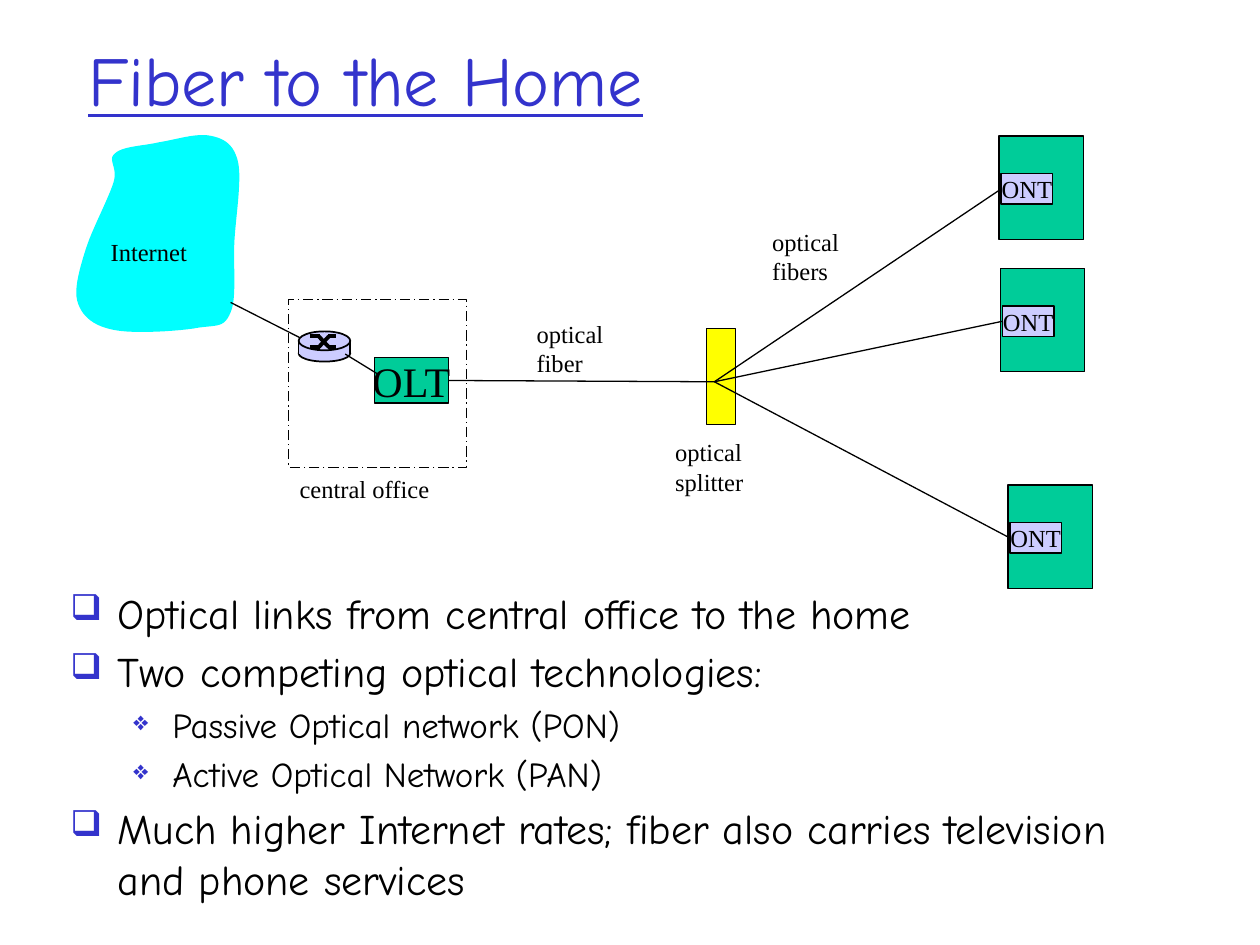
from dataclasses import dataclass

from lxml import etree
from pptx import Presentation
from pptx import util as u
from pptx.dml.color import RGBColor
from pptx.enum import dml, shapes, text
from pptx.oxml.ns import qn


@dataclass(frozen=True)
class Theme:
    heading_font: str = "Comic Neue"
    diagram_font: str = "Times New Roman"
    ink: RGBColor = RGBColor(0x00, 0x00, 0x00)
    accent: RGBColor = RGBColor(0x33, 0x33, 0xCC)
    green: RGBColor = RGBColor(0x00, 0xCC, 0x99)
    lilac: RGBColor = RGBColor(0xCC, 0xCC, 0xFF)
    yellow: RGBColor = RGBColor(0xFF, 0xFF, 0x00)
    cyan: RGBColor = RGBColor(0x00, 0xFF, 0xFF)
    title_size: int = 40
    bullet_sizes: tuple = (24, 20)
    label_size: int = 14
    olt_size: int = 24
    thin: float = 0.75
    outline: float = 1
    thick: float = 2.25


theme = Theme()
presentation = Presentation()
presentation.slide_width = u.Inches(10)
presentation.slide_height = u.Inches(7.5)
slide = presentation.slides.add_slide(presentation.slide_layouts[5])
cell = presentation.slide_width / 100  # square grid: 100 columns by 75 rows
RECTANGLE = shapes.MSO_SHAPE.RECTANGLE
OVAL = shapes.MSO_SHAPE.OVAL


def add_block(kind, area, fill=None, weight=None, label="", size=theme.label_size):
    """Add a preset shape; area is left, top, width, height in grid cells."""
    shape = slide.shapes.add_shape(kind, *[int(cell * n) for n in area])
    shape.shadow.inherit = False
    if fill is None:
        shape.fill.background()
    else:
        shape.fill.solid()
        shape.fill.fore_color.rgb = fill
    if weight is None:
        shape.line.fill.background()
    else:
        shape.line.color.rgb = theme.ink
        shape.line.width = u.Pt(weight)
    if label:
        frame = shape.text_frame
        frame.word_wrap = False
        frame.vertical_anchor = text.MSO_ANCHOR.MIDDLE
        paragraph = frame.paragraphs[0]
        paragraph.alignment = text.PP_ALIGN.CENTER
        run = paragraph.add_run()
        run.text = label
        run.font.name, run.font.size = theme.diagram_font, u.Pt(size)
        run.font.color.rgb = theme.ink
    return shape


def add_line(start, end, weight=theme.thin):
    """Add a straight line between two (column, row) points."""
    line = slide.shapes.add_connector(
        shapes.MSO_CONNECTOR.STRAIGHT, *[int(cell * n) for n in (*start, *end)])
    line.line.color.rgb = theme.ink
    line.line.width = u.Pt(weight)
    etree.SubElement(line._element.spPr, qn("a:effectLst"))
    return line


# Title
title = slide.shapes.title
title.left, title.top, title.width, title.height = [
    int(cell * n) for n in (6, 0, 85, 12.5)]
title.text_frame.auto_size = text.MSO_AUTO_SIZE.NONE
title.text_frame.vertical_anchor = text.MSO_ANCHOR.MIDDLE
paragraph = title.text_frame.paragraphs[0]
paragraph.alignment = text.PP_ALIGN.LEFT
run = paragraph.add_run()
run.text = "Fiber to the Home"
run.font.name, run.font.size = theme.heading_font, u.Pt(theme.title_size)
run.font.color.rgb = theme.accent
run.font.underline = True

# Internet cloud: Bezier curves, each from the previous end point
cloud_start = (18.9, 12.9)
cloud_curves = [
    ((18.6, 11.5), (17.8, 11.0), (16.8, 10.8)),
    ((15.7, 10.5), (13.9, 11.1), (12.6, 11.3)),
    ((11.3, 11.6), (9.7, 11.6), (9.1, 12.2)),
    ((8.5, 12.7), (9.4, 13.3), (9.0, 14.5)),
    ((8.6, 15.8), (7.3, 18.2), (6.8, 19.8)),
    ((6.3, 21.4), (5.8, 23.1), (6.2, 24.1)),
    ((6.6, 25.2), (7.5, 25.9), (9.1, 26.2)),
    ((10.6, 26.5), (14.2, 26.3), (15.8, 26.0)),
    ((17.3, 25.8), (17.8, 26.0), (18.3, 24.8)),
    ((18.8, 23.7), (18.5, 21.2), (18.6, 19.2)),
    ((18.7, 17.3), (19.2, 14.3), (18.9, 12.9)),
]
cloud_points = []
steps = 12
corner = cloud_start
for first, second, end in cloud_curves:
    for step in range(1, steps + 1):
        t = step / steps
        s = 1 - t
        cloud_points.append(tuple(
            cell * (s**3 * a + 3 * s * s * t * b + 3 * s * t * t * c + t**3 * d)
            for a, b, c, d in zip(corner, first, second, end)))
    corner = end
builder = slide.shapes.build_freeform(*[int(cell * n) for n in cloud_start])
builder.add_line_segments(cloud_points, close=True)
cloud = builder.convert_to_shape()
cloud.shadow.inherit = False
cloud.fill.solid()
cloud.fill.fore_color.rgb = theme.cyan
cloud.line.fill.background()

# Central office with its line terminal, and the splitter
office = add_block(RECTANGLE, (22.9, 23.8, 14.1, 13.3), weight=theme.thin)
office.line.dash_style = dml.MSO_LINE.LONG_DASH_DOT
olt = add_block(RECTANGLE, (29.7, 28.4, 5.9, 3.6), theme.green, theme.thin,
                "OLT", theme.olt_size)
add_block(RECTANGLE, (56.1, 26.1, 2.3, 7.6), theme.yellow, theme.thin)
hub = (56.7, 30.3)
add_line((35.8, 30.3), hub).begin_connect(olt, 3)

# Homes, each with a network terminal fed from the splitter
for left, top in [(79.3, 10.8), (79.4, 21.3), (80, 38.5)]:
    add_block(RECTANGLE, (left, top, 6.7, 8.2), theme.green, theme.thin)
    ont = add_block(RECTANGLE, (left + 0.15, top + 3, 4.1, 2.4),
                    theme.lilac, theme.thin, "ONT")
    add_line(hub, (left, top + 4.2)).end_connect(ont, 1)

# Router: a low cylinder with a crossing-paths mark
add_block(OVAL, (23.7, 27.4, 4.1, 1.3), theme.lilac, theme.outline)
add_block(RECTANGLE, (23.7, 27.3, 4.1, 0.8), theme.lilac)
for side in (23.7, 27.8):
    add_line((side, 27), (side, 28.1), theme.outline)
add_block(OVAL, (23.7, 26.3, 4.1, 1.5), theme.lilac, theme.outline)
upper, lower = 26.7, 27.55
for row, opposite in [(upper, lower), (lower, upper)]:
    add_line((24.6, row), (25.4, row), theme.thick)
    add_line((25.3, row), (26.1, opposite), theme.thick)
    add_line((26, opposite), (26.7, opposite), theme.thick)
add_line((27.4, 28.1), (30, 29.7))
add_line((18.3, 24), (23.8, 26.8))

# Diagram labels
for area, lines in [
    ((7.8, 18.3, 10, 3.3), ["Internet"]),
    ((22.8, 37.1, 14.7, 3.3), ["central office"]),
    ((41.6, 24.8, 8.1, 5.7), ["optical", "fiber"]),
    ((52.6, 34.2, 8.9, 5.7), ["optical", "splitter"]),
    ((60.3, 17.5, 8.1, 5.7), ["optical", "fibers"]),
]:
    frame = slide.shapes.add_textbox(*[int(cell * n) for n in area]).text_frame
    frame.word_wrap = False
    frame.auto_size = text.MSO_AUTO_SIZE.SHAPE_TO_FIT_TEXT
    for index, line_text in enumerate(lines):
        paragraph = frame.add_paragraph() if index else frame.paragraphs[0]
        run = paragraph.add_run()
        run.text = line_text
        run.font.name, run.font.size = theme.diagram_font, u.Pt(theme.label_size)
        run.font.color.rgb = theme.ink

# Bullets: symbol, size in percent, left margin and hanging indent per level
levels = [("❑", 85, 3.75, 3.75), ("❖", 75, 8.1, 3.1)]
frame = slide.shapes.add_textbox(
    *[int(cell * n) for n in (4.6, 46.1, 85, 22.8)]).text_frame
frame.word_wrap = True
for index, (level, bullet_text) in enumerate([
    (0, "Optical links from central office to the home"),
    (0, "Two competing optical technologies:"),
    (1, "Passive Optical network (PON)"),
    (1, "Active Optical Network (PAN)"),
    (0, "Much higher Internet rates; fiber also carries television and phone services"),
]):
    symbol, percent, margin, hanging = levels[level]
    size = theme.bullet_sizes[level]
    paragraph = frame.add_paragraph() if index else frame.paragraphs[0]
    paragraph.level = level
    properties = paragraph._p.get_or_add_pPr()
    properties.set("marL", str(int(cell * margin)))
    properties.set("indent", str(-int(cell * hanging)))
    color = etree.SubElement(properties, qn("a:buClr"))
    etree.SubElement(color, qn("a:srgbClr"), val=str(theme.accent))
    etree.SubElement(properties, qn("a:buSzPct"), val=str(percent * 1000))
    etree.SubElement(properties, qn("a:buChar"), char=symbol)
    if index:
        paragraph.space_before = u.Pt(size * 0.2)
    run = paragraph.add_run()
    run.text = bullet_text
    run.font.name, run.font.size = theme.heading_font, u.Pt(size)
    run.font.color.rgb = theme.ink

presentation.save("out.pptx")
